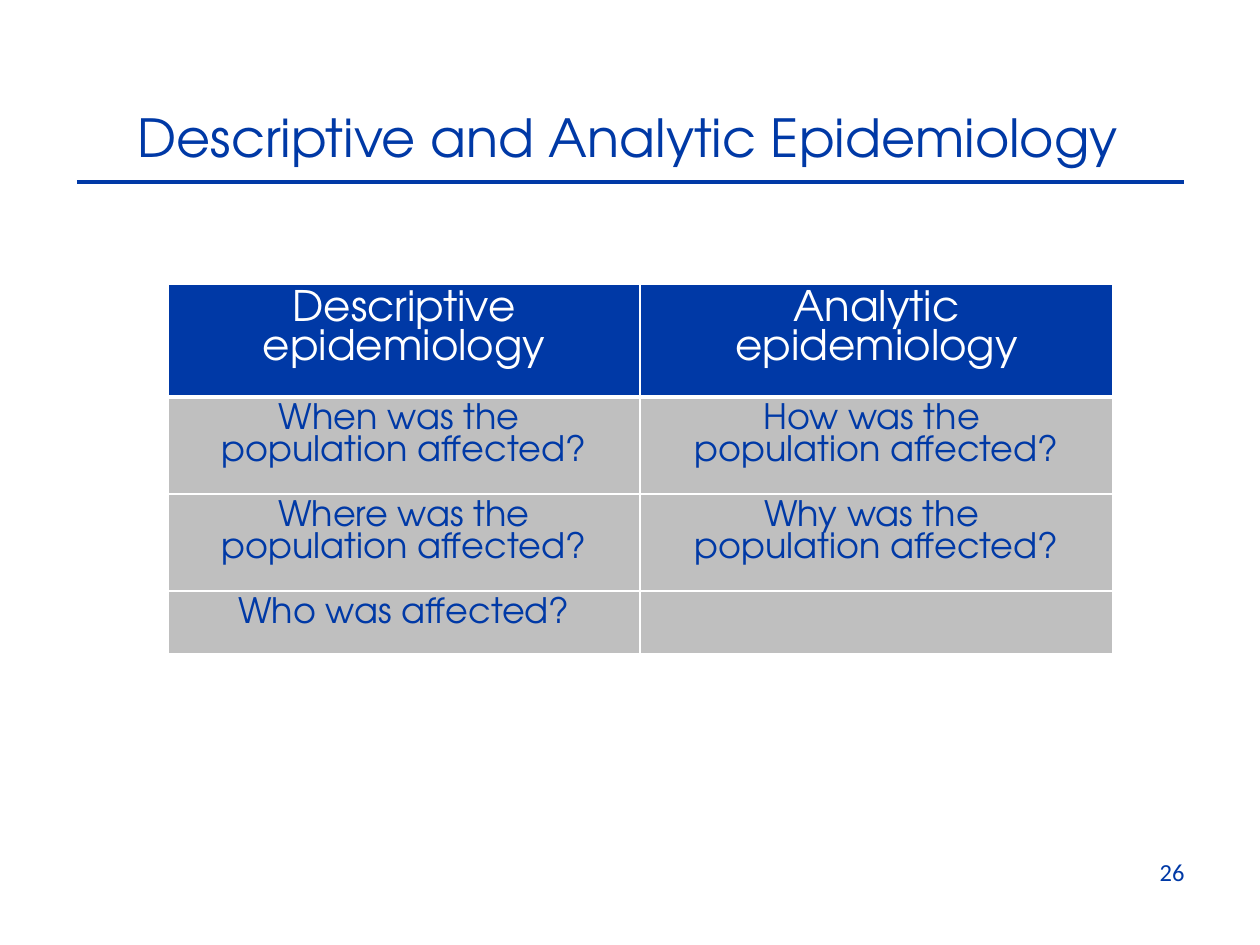
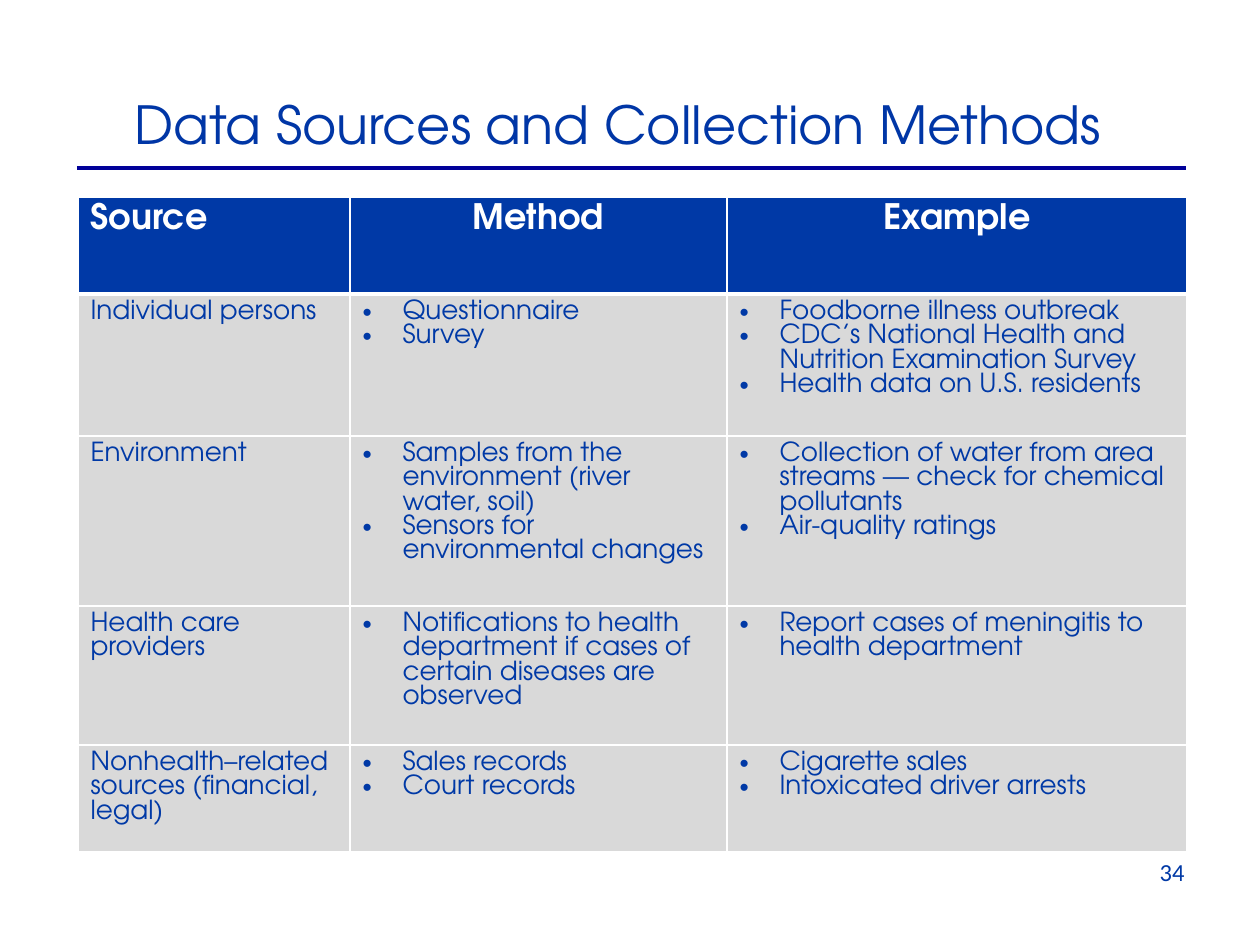
from lxml.etree import SubElement
from pptx import Presentation
from pptx.dml.color import RGBColor
from pptx.enum.shapes import MSO_CONNECTOR
from pptx.enum.text import MSO_ANCHOR, MSO_AUTO_SIZE, PP_ALIGN
from pptx.oxml import parse_xml
from pptx.oxml.ns import nsdecls, qn
from pptx.util import Emu, Pt

HEX = {"blue": "0039A6", "title": "0036A6", "navy": "000099",
       "white": "FFFFFF", "gray": "BFBFBF", "light": "D9D9D9"}
FACE = "TeX Gyre Adventor"
LEFT, MID, RIGHT = PP_ALIGN.LEFT, PP_ALIGN.CENTER, PP_ALIGN.RIGHT


def px(num):
    return Emu(round(num * 914400 / 126))


def style(para, size, color, align, face=FACE, bold=False):
    para.alignment = align
    for run in para.runs:
        font = run.font
        font.name, font.size, font.bold = face, Pt(size), bold
        font.color.rgb = RGBColor.from_string(HEX[color])


# Slide content: each cell is a list of paragraphs
pages = [
    dict(title="Descriptive and Analytic Epidemiology", ink="blue",
         spot=(64, 98), rule=(77, 1184, 182, "blue"), num="26",
         grid=(168, 284), cols=[472, 473], rows=[113, 97, 97, 63],
         fill="gray", sizes=(24, 20), bold=False, bullets=False,
         heads=[MID, MID], body=[MID, MID],
         cells=[
             [["Descriptive", "epidemiology"], ["Analytic", "epidemiology"]],
             [["When was the ", "population affected?"],
              ["How was the ", "population affected?"]],
             [["Where was the population affected?"],
              ["Why was the ", "population affected?"]],
             [["Who was affected?"], []],
         ]),
    dict(title="Data Sources and Collection Methods", ink="title",
         spot=(54, 85), rule=(77, 1186, 168, "navy"), num="34",
         grid=(78, 197), cols=[272, 377, 460], rows=[97, 142, 170, 139, 107],
         fill="light", sizes=(20, 15), bold=True, bullets=True,
         heads=[LEFT, MID, MID], body=[LEFT, LEFT, LEFT],
         cells=[
             [["Source"], ["Method"], ["Example"]],
             [["Individual persons"], ["Questionnaire", "Survey"],
              ["Foodborne illness outbreak",
               "CDC’s National Health and Nutrition Examination Survey",
               "Health data on U.S. residents"]],
             [["Environment"],
              ["Samples from the environment (river water, soil)",
               "Sensors for environmental changes"],
              ["Collection of water from area streams — check for chemical pollutants",
               "Air-quality ratings"]],
             [["Health care providers"],
              ["Notifications to health department if cases of certain diseases are observed"],
              ["Report cases of meningitis to health department"]],
             [["Nonhealth–related sources (financial, legal)"],
              ["Sales records", "Court records"],
              ["Cigarette sales", "Intoxicated driver arrests"]],
         ]),
]

deck = Presentation()
deck.slide_width, deck.slide_height = px(1260), px(945)

for page in pages:
    slide = deck.slides.add_slide(deck.slide_layouts[5])

    # Title
    title = slide.shapes.title
    title.left, title.top = map(px, page["spot"])
    title.width, title.height = px(1128), px(77)
    frame = title.text_frame
    frame.text = page["title"]
    frame.auto_size = MSO_AUTO_SIZE.NONE
    frame.vertical_anchor = MSO_ANCHOR.MIDDLE
    style(frame.paragraphs[0], 30, page["ink"], MID)

    # Rule under the title
    start, end, level, color = page["rule"]
    rule = slide.shapes.add_connector(
        MSO_CONNECTOR.STRAIGHT, px(start), px(level), px(end), px(level))
    rule.line.color.rgb = RGBColor.from_string(HEX[color])
    rule.line.width = Pt(2)
    SubElement(rule._element.spPr, qn("a:effectLst"))

    # Table
    cols, rows = page["cols"], page["rows"]
    left, top = page["grid"]
    table = slide.shapes.add_table(
        len(rows), len(cols), px(left), px(top), px(sum(cols)), px(sum(rows))).table
    table.horz_banding = False
    for col, width in zip(table.columns, cols):
        col.width = px(width)
    for row, height in zip(table.rows, rows):
        row.height = px(height)

    for r, row in enumerate(page["cells"]):
        head = r == 0
        size = page["sizes"][0 if head else 1]
        for c, lines in enumerate(row):
            cell = table.cell(r, c)
            cell.fill.solid()
            cell.fill.fore_color.rgb = RGBColor.from_string(
                HEX["blue" if head else page["fill"]])

            # White borders, heavier below the header
            props = cell._tc.get_or_add_tcPr()
            for i, side in enumerate("LRTB"):
                heavy = (r, side) in [(0, "B"), (1, "T")]
                props.insert(i, parse_xml(
                    f'<a:ln{side} {nsdecls("a")} w="{Pt(3 if heavy else 1)}"><a:solidFill>'
                    f'<a:srgbClr val="{HEX["white"]}"/></a:solidFill></a:ln{side}>'))

            # Cell text
            cell.text_frame.text = "\n".join(lines)
            for para in cell.text_frame.paragraphs:
                if page["bullets"] and not head and c > 0:
                    form = para._p.get_or_add_pPr()
                    form.set("marL", str(px(40)))
                    form.set("indent", str(-px(40)))
                    SubElement(form, qn("a:buFont"), typeface="Arial")
                    SubElement(form, qn("a:buChar"), char="•")
                style(para, size, "white" if head else "blue",
                      page["heads" if head else "body"][c],
                      bold=head and page["bold"])

    # Page number
    box = slide.shapes.add_textbox(px(903), px(847), px(294), px(50))
    frame = box.text_frame
    frame.word_wrap = True
    frame.vertical_anchor = MSO_ANCHOR.MIDDLE
    frame.text = page["num"]
    style(frame.paragraphs[0], 14, "blue", RIGHT, face="Calibri")

deck.save("out.pptx")
